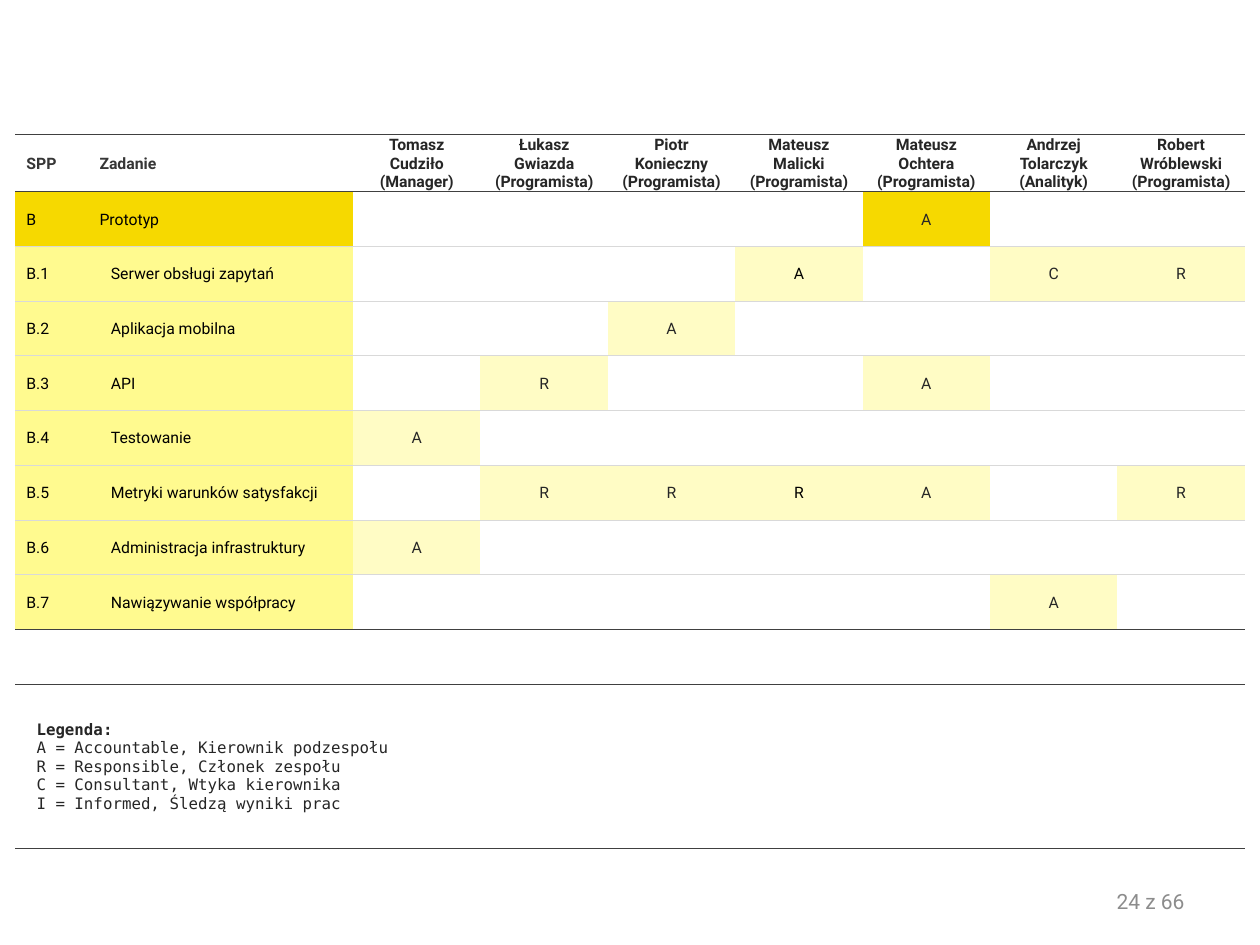
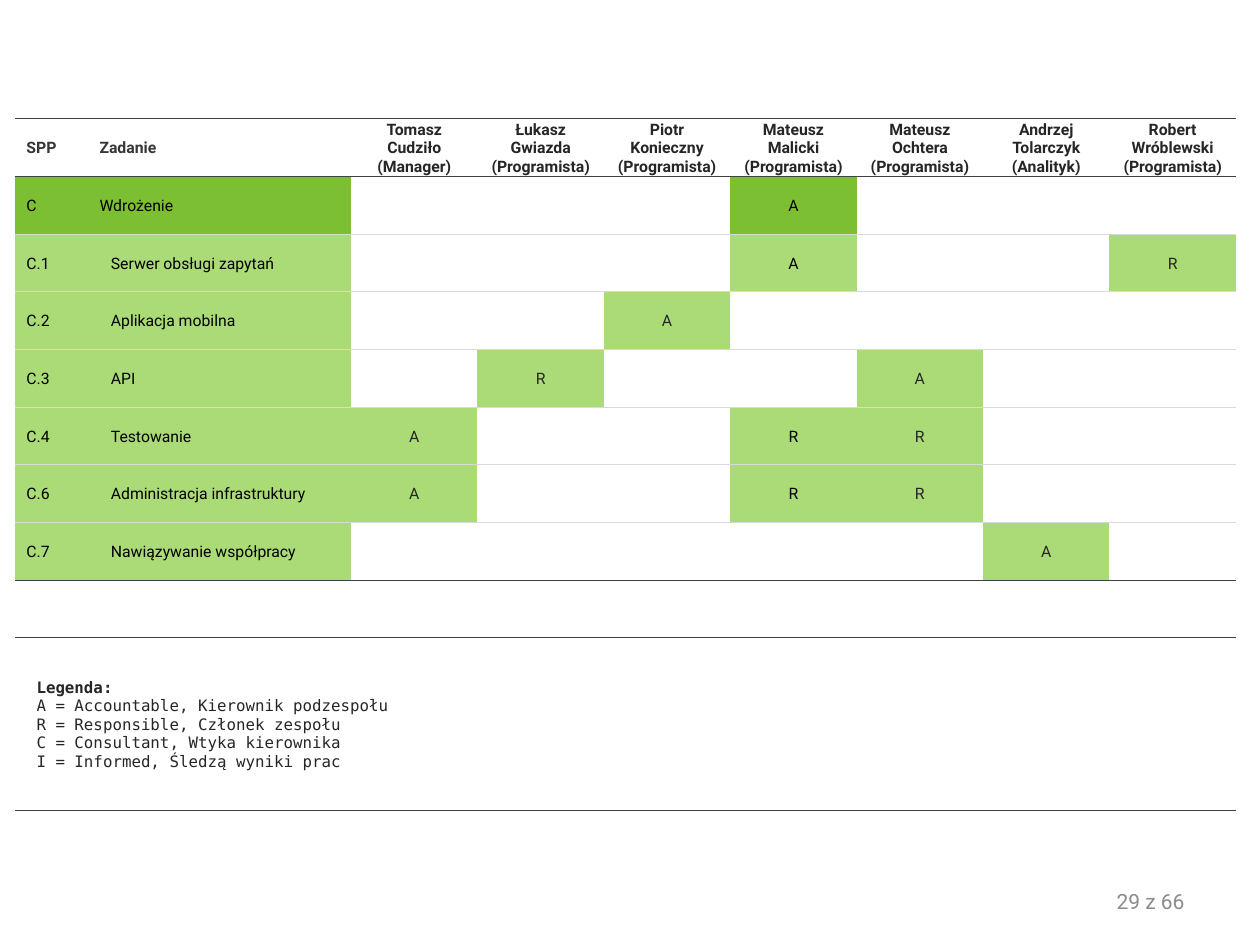
from lxml import etree
from pptx import Presentation
from pptx import util as u
from pptx.dml.color import RGBColor
from pptx.enum import text
from pptx.oxml.ns import qn

FONT, LEGEND_FONT = "Roboto", "DejaVu Sans Mono"
BLACK, INK, HEADING, GREY = "000000", "262626", "363636", "8C8C8C"
STRONG_RULE, LIGHT_RULE = "404040", "D9D9D9"
NO_STYLE = "{2D5ABB26-0587-4C30-8999-92F81FD0307C}"
CODE_WIDTH = 0.66
TASK_SHARE = 2
LEGEND_SHARE = 3

MEMBERS = [
    ("Tomasz", "Cudziło", "(Manager)"),
    ("Łukasz", "Gwiazda", "(Programista)"),
    ("Piotr", "Konieczny", "(Programista)"),
    ("Mateusz", "Malicki", "(Programista)"),
    ("Mateusz", "Ochtera", "(Programista)"),
    ("Andrzej", "Tolarczyk", "(Analityk)"),
    ("Robert", "Wróblewski", "(Programista)"),
]
BLACK_MEMBER = 3
LEGEND = [
    "A = Accountable, Kierownik podzespołu",
    "R = Responsible, Członek zespołu",
    "C = Consultant, Wtyka kierownika",
    "I = Informed, Śledzą wyniki prac",
]
PROTOTYPE_TASKS = [
    ("B", "Prototyp", "....A.."),
    ("B.1", "Serwer obsługi zapytań", "...A.CR"),
    ("B.2", "Aplikacja mobilna", "..A...."),
    ("B.3", "API", ".R..A.."),
    ("B.4", "Testowanie", "A......"),
    ("B.5", "Metryki warunków satysfakcji", ".RRRA.R"),
    ("B.6", "Administracja infrastruktury", "A......"),
    ("B.7", "Nawiązywanie współpracy", ".....A."),
]
DEPLOYMENT_TASKS = [
    ("C", "Wdrożenie", "...A..."),
    ("C.1", "Serwer obsługi zapytań", "...A..R"),
    ("C.2", "Aplikacja mobilna", "..A...."),
    ("C.3", "API", ".R..A.."),
    ("C.4", "Testowanie", "A..RR.."),
    ("C.6", "Administracja infrastruktury", "A..RR.."),
    ("C.7", "Nawiązywanie współpracy", ".....A."),
]


def color(value):
    """Turn a hex string into a colour."""
    return RGBColor.from_string(value)


def add_run(paragraph, content, ink, bold=False, size=9, font=FONT):
    """Add one formatted run to a paragraph."""
    run = paragraph.add_run()
    run.text = content
    run.font.name, run.font.size, run.font.bold = font, u.Pt(size), bold
    run.font.color.rgb = color(ink)


def add_lines(paragraph, lines, ink, **style):
    """Add runs separated by line breaks."""
    for index, line in enumerate(lines):
        if index:
            paragraph.add_line_break()
        add_run(paragraph, line, ink, **style)


def prepare_cell(cell, top, bottom):
    """Set a cell's margins, anchor, empty fill and horizontal rules."""
    cell.margin_left = cell.margin_right = cell.margin_top = u.Inches(0.01)
    cell.margin_bottom = 0
    cell.vertical_anchor = text.MSO_ANCHOR.MIDDLE
    cell.text_frame.paragraphs[0].font.size = u.Pt(9)
    cell.fill.background()
    properties = cell._tc.get_or_add_tcPr()
    for position, (tag, rule) in enumerate([("a:lnT", top), ("a:lnB", bottom)]):
        line = etree.Element(qn(tag), w=str(u.Pt(0.5)))
        fill = etree.SubElement(line, qn("a:solidFill"))
        etree.SubElement(fill, qn("a:srgbClr"), val=rule)
        properties.insert(position, line)


def fill_cell(cell, content, ink, fill=None, bold=False, left=0.01, centred=False):
    """Write one run into a cell and optionally colour its background."""
    cell.margin_left = u.Inches(left)
    paragraph = cell.text_frame.paragraphs[0]
    if centred:
        paragraph.alignment = text.PP_ALIGN.CENTER
    add_run(paragraph, content, ink, bold)
    if fill:
        cell.fill.solid()
        cell.fill.fore_color.rgb = color(fill)


def fill_header(table):
    """Write the column headings and the team members."""
    fill_cell(table.cell(0, 0), "SPP", HEADING, bold=True, left=0.09)
    fill_cell(table.cell(0, 1), "Zadanie", HEADING, bold=True)
    for column, (first_name, surname, role) in enumerate(MEMBERS, 2):
        frame = table.cell(0, column).text_frame
        name, position = frame.paragraphs[0], frame.add_paragraph()
        name.alignment = position.alignment = text.PP_ALIGN.CENTER
        add_lines(name, [first_name, surname], INK, bold=True)
        add_run(position, role, INK, bold=True)


def fill_task(table, row, task, label_fill, role_fill):
    """Write one task with its assigned roles."""
    code, name, roles = task
    indent = 0.1 if "." in code else 0.01
    fill_cell(table.cell(row, 0), code, BLACK, label_fill, left=0.09)
    fill_cell(table.cell(row, 1), name, BLACK, label_fill, left=indent)
    for member, role in enumerate(roles):
        if role != ".":
            ink = BLACK if member == BLACK_MEMBER else INK
            fill_cell(table.cell(row, member + 2), role, ink, role_fill, centred=True)


def fill_legend(table, row):
    """Merge the last row and write the legend."""
    legend = table.cell(row, 0)
    legend.merge(table.cell(row, len(MEMBERS) + 1))
    legend.margin_left = u.Inches(0.17)
    paragraph = legend.text_frame.paragraphs[0]
    add_run(paragraph, "Legenda:", INK, bold=True, font=LEGEND_FONT)
    paragraph.add_line_break()
    add_lines(paragraph, LEGEND, INK, font=LEGEND_FONT)


def add_responsibility_table(slide, tasks, top, width, height, fills):
    """Add the matrix of tasks, members and roles."""
    main_fill, label_fill, role_fill = fills
    last_task, legend_row = len(tasks), len(tasks) + 2
    table = slide.shapes.add_table(
        legend_row + 1, len(MEMBERS) + 2,
        u.Inches(0.12), u.Inches(top), u.Inches(width), u.Inches(height)).table
    table.first_row = table.horz_banding = False
    table._tbl.tblPr.find(qn("a:tableStyleId")).text = NO_STYLE

    member_width = (width - CODE_WIDTH) / (len(MEMBERS) + TASK_SHARE)
    widths = [CODE_WIDTH, TASK_SHARE * member_width] + [member_width] * len(MEMBERS)
    for column, column_width in zip(table.columns, widths):
        column.width = u.Inches(column_width)
    row_height = height / (legend_row + LEGEND_SHARE)
    for index, row in enumerate(table.rows):
        row.height = u.Inches(row_height * (LEGEND_SHARE if index == legend_row else 1))
        top_rule = LIGHT_RULE if 1 < index <= last_task else STRONG_RULE
        bottom_rule = LIGHT_RULE if 0 < index < last_task else STRONG_RULE
        for cell in row.cells:
            prepare_cell(cell, top_rule, bottom_rule)

    fill_header(table)
    fill_task(table, 1, tasks[0], main_fill, main_fill)
    for row, task in enumerate(tasks[1:], 2):
        fill_task(table, row, task, label_fill, role_fill)
    fill_legend(table, legend_row)


def add_page_number(slide, number):
    """Add the page number at the lower right."""
    box = slide.shapes.add_textbox(
        u.Inches(7.17), u.Inches(6.95), u.Inches(2.33), u.Inches(0.4))
    frame = box.text_frame
    frame.word_wrap = True
    frame.vertical_anchor = text.MSO_ANCHOR.MIDDLE
    paragraph = frame.paragraphs[0]
    paragraph.alignment = text.PP_ALIGN.RIGHT
    add_run(paragraph, f"{number} z 66", GREY, size=12)


def main():
    """Build both responsibility slides."""
    presentation = Presentation()
    presentation.slide_width, presentation.slide_height = u.Inches(10), u.Inches(7.5)
    pages = [
        (24, PROTOTYPE_TASKS, 1.07, 9.76, 5.65, ("F6D900", "FFFA8F", "FFFCC5")),
        (29, DEPLOYMENT_TASKS, 0.94, 9.69, 5.49, ("7CBF33", "ABDB77", "ABDB77")),
    ]
    for number, *matrix in pages:
        slide = presentation.slides.add_slide(presentation.slide_layouts[6])
        add_responsibility_table(slide, *matrix)
        add_page_number(slide, number)
    presentation.save("out.pptx")


if __name__ == "__main__":
    main()
